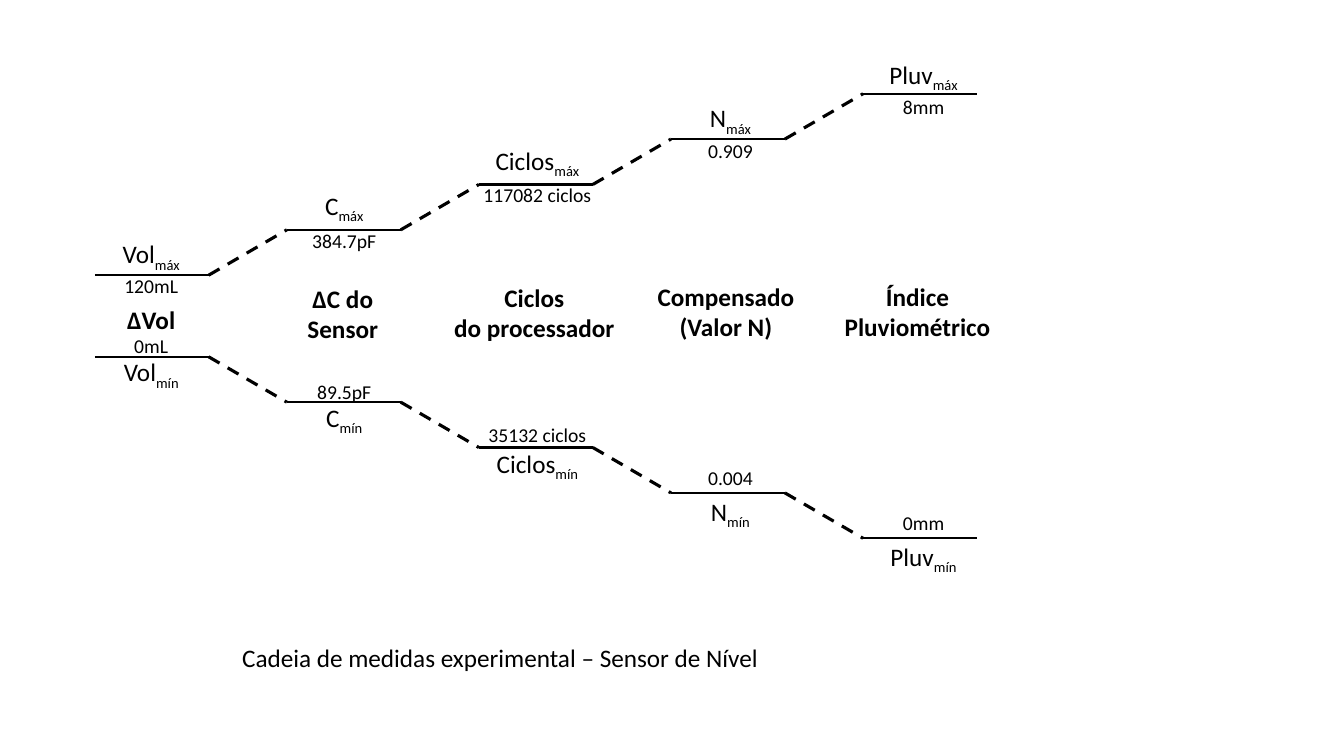
from dataclasses import dataclass

import pptx
import pptx.dml.color
import pptx.enum.dml
import pptx.enum.shapes
import pptx.enum.text
import pptx.oxml.ns
import pptx.util
from lxml import etree

Inches = pptx.util.Inches
Pt = pptx.util.Pt


@dataclass(frozen=True)
class Theme:
    ink: str = "000000"
    font: str = "Calibri"
    label_size: float = 18
    value_size: float = 14
    level_width: float = 1.5
    link_width: float = 2.25


@dataclass(frozen=True)
class Reading:
    """One end of a stage's range: its symbol and value, with box tops and widths."""
    symbol: str
    symbol_top: float
    symbol_width: float
    value: str
    value_top: float
    value_width: float


@dataclass(frozen=True)
class Stage:
    heading: str
    heading_top: float
    heading_width: float
    high: Reading
    low: Reading


STAGES = [
    Stage("ΔVol", 2.97, 0.68,
          Reading("Vol", 2.32, 0.81, "120mL", 2.67, 0.74),
          Reading("Vol", 3.49, 0.79, "0mL", 3.26, 0.54)),
    Stage("ΔC do\nSensor", 2.76, 0.91,
          Reading("C", 1.84, 0.63, "384.7pF", 2.22, 0.84),
          Reading("C", 3.94, 0.6, "89.5pF", 3.72, 0.74)),
    Stage("Ciclos\ndo processador", 2.75, 1.83,
          Reading("Ciclos", 1.39, 1.08, "117082 ciclos", 1.77, 1.28),
          Reading("Ciclos", 4.4, 1.05, "35132 ciclos", 4.15, 1.18)),
    Stage("Compensado\n(Valor N)", 2.74, 1.57,
          Reading("N", 0.97, 0.65, "0.909", 1.33, 0.65),
          Reading("N", 4.87, 0.63, "0.004", 4.57, 0.65)),
    Stage("Índice\nPluviométrico", 2.74, 1.66,
          Reading("Pluv", 0.54, 0.92, "8mm", 0.89, 0.61),
          Reading("Pluv", 5.32, 0.9, "0mm", 5.02, 0.61)),
]

LEFT, STAGE_STEP, LEVEL_LENGTH = 0.94, 1.905, 1.13
HIGH_Y, LOW_Y, RISE = 2.73, 3.54, 0.45
TEXT_CENTER, HEADING_STEP, READING_STEP = 1.5, 1.9, 1.915


class Diagram:
    def __init__(self, s, theme):
        self.s = s
        self.theme = theme

    def line(self, x1, y1, x2, y2, width, dashed=False):
        c = self.s.shapes.add_connector(
            pptx.enum.shapes.MSO_CONNECTOR.STRAIGHT,
            Inches(x1), Inches(y1), Inches(x2), Inches(y2))
        c.line.color.rgb = pptx.dml.color.RGBColor.from_string(self.theme.ink)
        c.line.width = Pt(width)
        if dashed:
            c.line.dash_style = pptx.enum.dml.MSO_LINE.DASH
        etree.SubElement(c._element.spPr, pptx.oxml.ns.qn("a:effectLst"))

    def run(self, p, text, *, size, bold=False, subscript=False):
        r = p.add_run()
        r.text = text
        r.font.name = self.theme.font
        r.font.size = Pt(size)
        r.font.bold = bold
        r.font.color.rgb = pptx.dml.color.RGBColor.from_string(self.theme.ink)
        if subscript:
            r.font._element.set("baseline", "-25000")

    def text(self, text, *, center, top, width, size, bold=False, subscript=""):
        """Place text centred on an x position, one paragraph per line."""
        lines = text.split("\n")
        height = 0.34 if size < self.theme.label_size else 0.09 + 0.31 * len(lines)
        sp = self.s.shapes.add_textbox(
            Inches(center - width / 2), Inches(top), Inches(width), Inches(height))
        tf = sp.text_frame
        tf.word_wrap = False
        tf.auto_size = pptx.enum.text.MSO_AUTO_SIZE.SHAPE_TO_FIT_TEXT
        for i, content in enumerate(lines):
            p = tf.add_paragraph() if i else tf.paragraphs[0]
            p.alignment = pptx.enum.text.PP_ALIGN.CENTER
            self.run(p, content, size=size, bold=bold)
        if subscript:
            self.run(p, subscript, size=size, subscript=True)

    def reading(self, reading, center, subscript):
        self.text(reading.symbol, center=center, top=reading.symbol_top,
                  width=reading.symbol_width, size=self.theme.label_size,
                  subscript=subscript)
        self.text(reading.value, center=center, top=reading.value_top,
                  width=reading.value_width, size=self.theme.value_size)

    def branch(self, y, step):
        """Draw one level per stage, joined by dashed links."""
        for i in range(len(STAGES)):
            x = LEFT + i * STAGE_STEP
            level = y + i * step
            end = x + LEVEL_LENGTH
            self.line(x, level, end, level, self.theme.level_width)
            if i < len(STAGES) - 1:
                self.line(end, level, x + STAGE_STEP, level + step,
                          self.theme.link_width, dashed=True)

    def stage(self, i, stage):
        self.text(stage.heading, center=TEXT_CENTER + i * HEADING_STEP,
                  top=stage.heading_top, width=stage.heading_width,
                  size=self.theme.label_size, bold=True)
        center = TEXT_CENTER + i * READING_STEP
        self.reading(stage.high, center, "máx")
        self.reading(stage.low, center, "mín")


def main():
    prs = pptx.Presentation()
    prs.slide_width, prs.slide_height = Inches(13.33), Inches(7.5)
    theme = Theme()
    diagram = Diagram(prs.slides.add_slide(prs.slide_layouts[6]), theme)
    diagram.branch(HIGH_Y, -RISE)
    diagram.branch(LOW_Y, RISE)
    for i, stage in enumerate(STAGES):
        diagram.stage(i, stage)
    diagram.text("Cadeia de medidas experimental – Sensor de Nível",
                 center=4.96, top=6.32, width=5.38, size=theme.label_size)
    prs.save("out.pptx")


if __name__ == "__main__":
    main()
